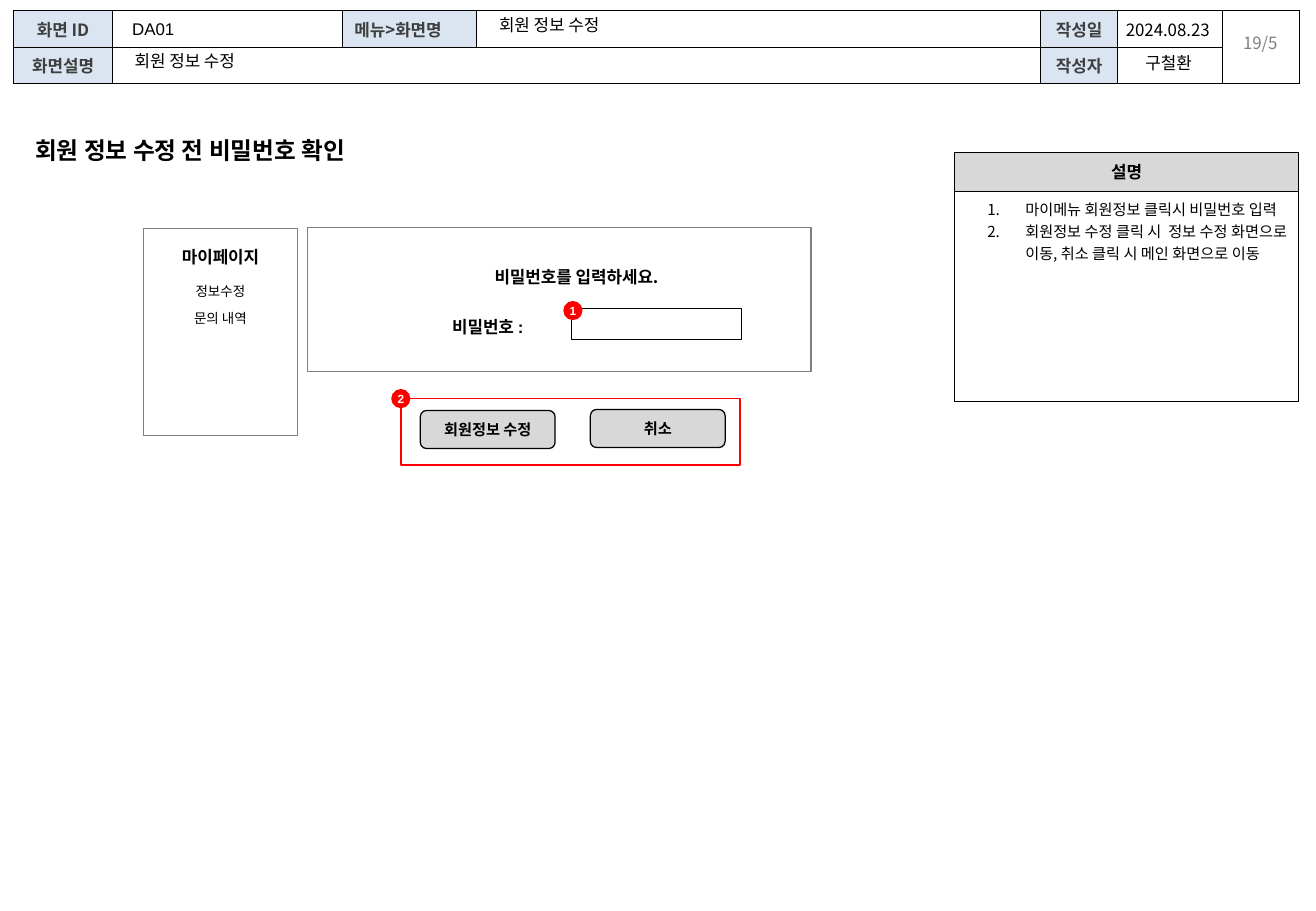
"""Build the wireframe slide for the password check before editing member details."""
from dataclasses import dataclass
from typing import Optional

from lxml import etree
from pptx import Presentation
from pptx.dml.color import RGBColor
from pptx.enum.shapes import MSO_SHAPE
from pptx.enum.text import MSO_ANCHOR, PP_ALIGN
from pptx.oxml.ns import qn
from pptx.util import Pt

RECT, ROUND, OVAL = MSO_SHAPE.RECTANGLE, MSO_SHAPE.ROUNDED_RECTANGLE, MSO_SHAPE.OVAL
TOP, MID = MSO_ANCHOR.TOP, MSO_ANCHOR.MIDDLE
LEFT, MIDDLE = PP_ALIGN.LEFT, PP_ALIGN.CENTER
PAD = (7.2, 3.6, 7.2, 3.6)


@dataclass(frozen=True)
class Theme:
    """Colours, fonts and type sizes."""
    black: str = "000000"
    white: str = "FFFFFF"
    dark: str = "3F3F3F"
    gray: str = "7F7F7F"
    pale: str = "D8D8D8"
    blue: str = "DAE5F1"
    red: str = "FF0000"
    sans: str = "Noto Sans CJK KR"
    arial: str = "Arial"
    head: float = 14
    body: float = 10
    note: float = 9
    menu: float = 8
    mark: float = 7
    rule: float = 0.75


T = Theme()


@dataclass(frozen=True)
class Type:
    """Look of a run and its paragraph."""
    size: float = T.body
    bold: bool = False
    color: str = T.black
    font: str = T.sans
    align: PP_ALIGN = LEFT


@dataclass(frozen=True)
class Label:
    """Text box."""
    text: str
    box: tuple
    type: Type
    pad: tuple = PAD
    anchor: MSO_ANCHOR = MID


@dataclass(frozen=True)
class Block:
    """Preset shape with optional text."""
    kind: MSO_SHAPE
    box: tuple
    fill: Optional[str] = None
    line: Optional[str] = None
    width: float = T.rule
    text: str = ""
    type: Type = Type()
    pad: tuple = PAD


PLAIN = Type(font=T.arial)
DATE = Type()
PAGE = Type(color=T.gray, align=MIDDLE)
BOLD = Type(bold=True, align=MIDDLE)
FIELD = Type(bold=True, font=T.arial, align=MIDDLE)
MENU = Type(T.menu, font=T.arial, align=MIDDLE)
BUTTON = Type(T.note, True, align=MIDDLE)
MARK = Type(T.mark, True, T.white, T.arial, MIDDLE)
KEY = Type(bold=True, color=T.dark, align=MIDDLE)
KEYLEFT = Type(bold=True, color=T.dark)
NOTE = Type(T.note)
TITLE = Type(T.head, True)


def button(text: str, left: float, top: float) -> Block:
    """Describe a rounded button."""
    return Block(ROUND, (left, top, 79.9, 22.6), T.pale, T.black, text=text, type=BUTTON)


def mark(text: str, left: float, top: float) -> Block:
    """Describe a numbered red marker."""
    return Block(OVAL, (left, top, 11.4, 11.4), T.red, text=text, type=MARK, pad=(0, 0, 0, 0))


ITEMS = (
    Label("19/5", (724.3, 15.8, 45.4, 19.4), PAGE),
    Block(RECT, (182.2, 134.7, 298.6, 85.6), line=T.gray),
    Label("비밀번호를 입력하세요.", (260.6, 154.1, 169.2, 19.4), BOLD, (0, 3.6, 7.2, 3.6)),
    Block(RECT, (338.9, 182.9, 100.8, 18.3), line=T.black),
    Label("비밀번호 :", (248.4, 182.2, 81.4, 19.4), FIELD, (7.2, 5.4, 7.2, 5.4), TOP),
    button("회원정보 수정", 249.1, 243.3),
    Label("DA01", (71.3, 7.2, 97.2, 19.4), PLAIN),
    Label("회원 정보 수정", (288.7, 5, 160.6, 19.4), PLAIN),
    Label("회원 정보 수정", (72.7, 26.6, 124.6, 19.4), PLAIN),
    button("취소", 349.9, 242.7),
    Label("2024.08.23", (660.2, 7.9, 67.7, 19.4), DATE),
    Label("구철환", (671.8, 27.4, 56.9, 19.4), DATE),
    mark("1", 333.9, 178.4),
    Block(RECT, (237.6, 236.2, 201.2, 39.4), line=T.red, width=1),
    mark("2", 231.9, 230.6),
    Block(RECT, (85, 135.4, 91.2, 122.8), line=T.gray),
    Label("마이페이지", (79.9, 142.6, 101.5, 19.4), FIELD),
    Label("정보수정", (92.9, 164.2, 75.6, 17.3), MENU),
    Label("문의 내역", (92.9, 180, 75.6, 17.3), MENU),
)
KEYS = {(0, 0): ("화면 ID", KEY), (0, 2): ("메뉴>화면명", KEYLEFT), (0, 4): ("작성일", KEY),
        (1, 0): ("화면설명", KEY), (1, 4): ("작성자", KEY)}
NOTES = ("마이메뉴 회원정보 클릭시 비밀번호 입력",
         "회원정보 수정 클릭 시  정보 수정 화면으로 이동, 취소 클릭 시 메인 화면으로 이동")


def write(par, text: str, look: Type) -> None:
    """Add one styled run to a paragraph."""
    par.alignment = look.align
    run = par.add_run()
    run.text = text
    font = run.font
    font.size, font.bold, font.name = Pt(look.size), look.bold, look.font
    font.color.rgb = RGBColor.from_string(look.color)
    etree.SubElement(run._r.get_or_add_rPr(), qn("a:ea"), typeface=T.sans)


def fit(frame, pad: tuple, anchor: MSO_ANCHOR) -> None:
    """Set wrapping, insets and anchor of a text frame."""
    frame.word_wrap, frame.vertical_anchor = True, anchor
    (frame.margin_left, frame.margin_top,
     frame.margin_right, frame.margin_bottom) = map(Pt, pad)


def draw(shapes, item) -> None:
    """Draw a label or a block."""
    if isinstance(item, Label):
        frame = shapes.add_textbox(*map(Pt, item.box)).text_frame
        fit(frame, item.pad, item.anchor)
    else:
        shape = shapes.add_shape(item.kind, *map(Pt, item.box))
        shape.shadow.inherit = False
        paint(shape.fill, item.fill)
        paint(shape.line.fill, item.line)
        if item.line:
            shape.line.width = Pt(item.width)
        frame = shape.text_frame
        fit(frame, item.pad, MID)
    if item.text:
        write(frame.paragraphs[0], item.text, item.type)


def paint(fill, color: Optional[str]) -> None:
    """Make a fill solid, or clear it."""
    if color:
        fill.solid()
        fill.fore_color.rgb = RGBColor.from_string(color)
    else:
        fill.background()


def edge(cell) -> None:
    """Rule all four sides of a cell."""
    for side in ("lnL", "lnR", "lnT", "lnB"):
        line = etree.SubElement(cell._tc.get_or_add_tcPr(), qn(f"a:{side}"), w=str(Pt(T.rule)))
        solid = etree.SubElement(line, qn("a:solidFill"))
        etree.SubElement(solid, qn("a:srgbClr"), val=T.black)


def grid(shapes, left: float, top: float, cols: tuple, rows: tuple):
    """Add a plain ruled table."""
    table = shapes.add_table(len(rows), len(cols), Pt(left), Pt(top),
                             Pt(sum(cols)), Pt(sum(rows))).table
    table.first_row = table.horz_banding = False
    for col, width in zip(table.columns, cols):
        col.width = Pt(width)
    for row, height in zip(table.rows, rows):
        row.height = Pt(height)
    for cell in table.iter_cells():
        edge(cell)
    return table


def header(shapes) -> None:
    """Draw the screen details along the top."""
    cols = (59, 136, 79.4, 334.6, 45.6, 62.4, 45.2)
    table = grid(shapes, 7.9, 6.4, cols, (21.6, 21.6))
    for row in range(2):
        for col in range(len(cols)):
            cell = table.cell(row, col)
            cell.vertical_anchor = MID
            paint(cell.fill, T.blue if (row, col) in KEYS else T.white)
            par = cell.text_frame.paragraphs[0]
            if (row, col) in KEYS:
                write(par, *KEYS[row, col])
            else:
                etree.SubElement(par._p, qn("a:endParaRPr"), sz=str(int(T.body * 100)))
    table.cell(1, 1).merge(table.cell(1, 3))
    table.cell(0, 6).merge(table.cell(1, 6))


def notes(shapes) -> None:
    """Draw the numbered description panel."""
    table = grid(shapes, 565.9, 90.6, (203.8,), (23, 124.5))
    head, body = table.iter_cells()
    paint(head.fill, T.pale)
    write(head.text_frame.paragraphs[0], "설명", BOLD)
    paint(body.fill, None)
    body.margin_left = body.margin_right = Pt(5.8)
    frame = body.text_frame
    for index, text in enumerate(NOTES):
        par = frame.add_paragraph() if index else frame.paragraphs[0]
        write(par, text, NOTE)
        props = par._p.get_or_add_pPr()
        props.set("marL", str(Pt(36)))
        props.set("indent", str(-Pt(22.5)))
        etree.SubElement(props, qn("a:buAutoNum"), type="arabicPeriod")


def main() -> None:
    """Build and save the slide."""
    deck = Presentation()
    deck.slide_width, deck.slide_height = Pt(780), Pt(540)
    slide = deck.slides.add_slide(deck.slide_layouts[5])
    title = slide.shapes.title
    title.left, title.top, title.width, title.height = map(Pt, (20.9, 77.8, 761, 22.3))
    fit(title.text_frame, (0, 3.6, 0, 3.6), MID)
    write(title.text_frame.paragraphs[0], "회원 정보 수정 전 비밀번호 확인", TITLE)
    header(slide.shapes)
    for item in ITEMS:
        draw(slide.shapes, item)
    notes(slide.shapes)
    deck.save("out.pptx")


if __name__ == "__main__":
    main()
